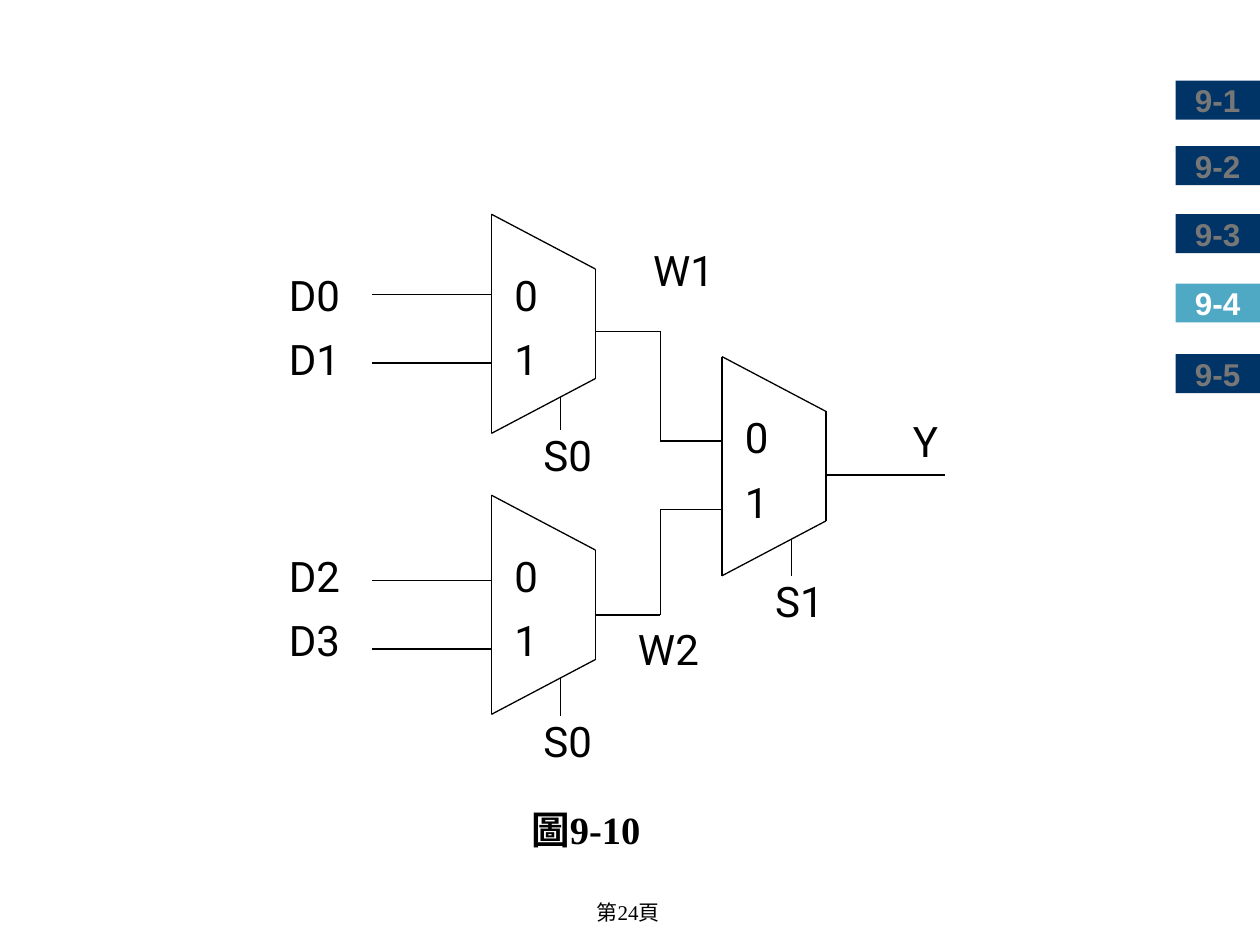
from pptx import Presentation
from pptx.dml.color import RGBColor
from pptx.enum.shapes import MSO_CONNECTOR as Connector, MSO_SHAPE as Shape
from pptx.enum.text import MSO_ANCHOR as Anchor, PP_ALIGN as Align
from pptx.oxml.ns import qn
from pptx.util import Inches, Pt

# Content: section tabs (label, top)
TABS = [("9-1", 0.64), ("9-2", 1.16), ("9-3", 1.7), ("9-4", 2.25), ("9-5", 2.81)]
CURRENT_TAB = "9-4"

# Multiplexers: left, top, length of the select line
MULTIPLEXERS = [(3.9, 1.7, 0.26), (3.9, 3.93, 0.3), (5.73, 2.83, 0.29)]
MUX_WIDTH, MUX_HEIGHT, MUX_SLOPE = 0.825, 1.74, 0.435
SELECT_X, SELECT_Y = 0.55, 1.45
PORTS = [("0", 0.44), ("1", 0.95)]

# Signal labels (text, left, top)
SIGNALS = [
    ("D0", 2.13, 2.14), ("D1", 2.13, 2.65), ("D2", 2.13, 4.37), ("D3", 2.13, 4.88),
    ("W1", 5.06, 1.94), ("W2", 4.94, 4.95), ("Y", 6.98, 3.3),
    ("S0", 4.14, 3.41), ("S0", 4.14, 5.68), ("S1", 5.98, 4.57),
]
SIGNAL_WIDTH, PORT_WIDTH, LABEL_HEIGHT = 0.73, 0.55, 0.4

# Wires as chains of points
INPUT_WIRES = [[(2.95, y), (3.9, y)] for y in (2.34, 2.88, 4.61, 5.15)]
WIRES = INPUT_WIRES + [
    [(4.725, 2.63), (5.24, 2.63), (5.24, 3.5), (5.73, 3.5)],
    [(4.725, 4.88), (5.24, 4.88), (5.24, 4.045), (5.73, 4.045)],
    [(6.555, 3.77), (7.5, 3.77)],
]

presentation = Presentation()
presentation.slide_width, presentation.slide_height = Inches(10), Inches(7.5)
slide = presentation.slides.add_slide(presentation.slide_layouts[6])


def color(value):
    return RGBColor.from_string(value)


def write(shape, text, size=24, font="Roboto", fill="000000", bold=False,
          align=Align.CENTER, anchor=Anchor.TOP, wrap=True, margins=(0, 0)):
    frame = shape.text_frame
    frame.word_wrap = wrap
    frame.vertical_anchor = anchor
    frame.margin_left = frame.margin_right = Inches(margins[0])
    frame.margin_top = frame.margin_bottom = Inches(margins[1])
    paragraph = frame.paragraphs[0]
    paragraph.alignment = align
    run = paragraph.add_run()
    run.text = text
    run.font.size, run.font.name, run.font.bold = Pt(size), font, bold
    run.font.color.rgb = color(fill)


def add_text(text, left, top, width, height=LABEL_HEIGHT, **style):
    box = slide.shapes.add_textbox(Inches(left), Inches(top), Inches(width), Inches(height))
    write(box, text, **style)


def add_polyline(points):
    for start, end in zip(points, points[1:]):
        line = slide.shapes.add_connector(
            Connector.STRAIGHT, *(Inches(value) for value in start + end))
        line.line.color.rgb = color("000000")
        line.line.width = Pt(0.75)
        properties = line._element.spPr
        properties.append(properties.makeelement(qn("a:effectLst"), {}))


def add_multiplexer(left, top, select_length):
    right, bottom = left + MUX_WIDTH, top + MUX_HEIGHT
    add_polyline([(left, top), (right, top + MUX_SLOPE), (right, bottom - MUX_SLOPE),
                  (left, bottom), (left, top)])
    select_x, select_y = left + SELECT_X, top + SELECT_Y
    add_polyline([(select_x, select_y), (select_x, select_y + select_length)])
    for port, offset in PORTS:
        add_text(port, left, top + offset, PORT_WIDTH)


# Page number and section tabs
add_text("第24頁", 4.35, 7.09, 1.27, 0.3, size=12, font="Times New Roman",
         wrap=False, margins=(0.1, 0.05))
for label, top in TABS:
    current = label == CURRENT_TAB
    tab = slide.shapes.add_shape(
        Shape.RECTANGLE, Inches(9.33), Inches(top), Inches(0.67), Inches(0.31))
    tab.shadow.inherit = False
    tab.fill.solid()
    tab.fill.fore_color.rgb = color("4FA9C5" if current else "003366")
    tab.line.fill.background()
    write(tab, label, size=18, font="Arial", fill="FFFFFF" if current else "777777",
          bold=True, anchor=Anchor.MIDDLE, wrap=False, margins=(0.1, 0.05))

# Circuit diagram
for multiplexer in MULTIPLEXERS:
    add_multiplexer(*multiplexer)
for wire in WIRES:
    add_polyline(wire)
for label, left, top in SIGNALS:
    add_text(label, left, top, SIGNAL_WIDTH)

# Figure caption
add_text("圖9-10", 4.12, 6.35, 1.14, 0.47, size=22, font="Times New Roman", bold=True,
         align=Align.LEFT, wrap=False, margins=(0.1, 0.05))

presentation.save("out.pptx")
